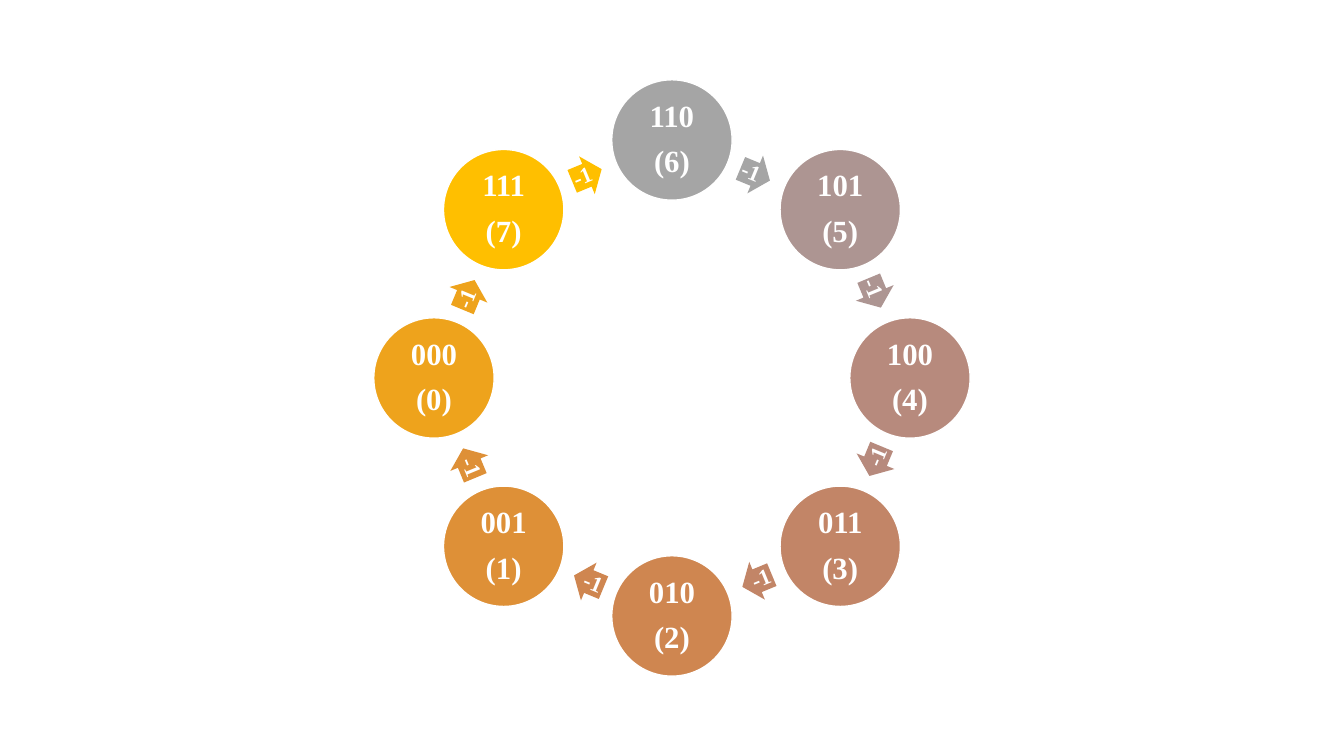
from colorsys import hls_to_rgb
from dataclasses import dataclass
from math import cos, radians, sin

from pptx import Presentation
from pptx.dml.color import RGBColor as Rgb
from pptx.enum.shapes import MSO_SHAPE as Shape
from pptx.enum.text import MSO_ANCHOR as Anchor, PP_ALIGN as Align
from pptx.util import Pt


@dataclass(frozen=True)
class Theme:
    """Colours, font and type sizes of the slide."""

    font: str = "Times New Roman"
    light: Rgb = Rgb(255, 255, 255)
    state_size: int = 22
    step_size: int = 16
    line_spacing: float = 0.9
    state_gap: float = 8.8

    def shade(self, fraction):
        """Return the colour at a fraction of the way from grey to gold."""
        hue = 45 / 360 * fraction
        lightness = 0.647 - 0.147 * fraction
        return Rgb(*(round(255 * part) for part in hls_to_rgb(hue, lightness, fraction)))


class CycleSlide:
    """Draws the states and steps of a cycle on one slide."""

    def __init__(self, slide, theme):
        """Keep the slide and its style."""
        self.shapes = slide.shapes
        self.theme = theme

    def set_text(self, frame, text, size, inset=0, gap=0):
        """Put centred bold text in a frame."""
        frame.text = text
        frame.word_wrap = True
        frame.vertical_anchor = Anchor.MIDDLE
        frame.margin_left = frame.margin_right = Pt(inset)
        frame.margin_top = frame.margin_bottom = Pt(inset)
        for line in frame.paragraphs:
            line.alignment = Align.CENTER
            line.line_spacing = self.theme.line_spacing
            line.space_after = Pt(gap)
            for run in line.runs:
                run.font.name = self.theme.font
                run.font.size = Pt(size)
                run.font.bold = True
                run.font.color.rgb = self.theme.light

    def solid(self, kind, x, y, width, height, color):
        """Add a filled shape centred on a point."""
        solid = self.shapes.add_shape(
            kind, Pt(x - width / 2), Pt(y - height / 2), Pt(width), Pt(height))
        solid.shadow.inherit = False
        solid.fill.solid()
        solid.fill.fore_color.rgb = color
        return solid

    def state(self, x, y, diameter, text, color):
        """Add a circle that names a state."""
        circle = self.solid(Shape.OVAL, x, y, diameter, diameter, color)
        circle.line.color.rgb = self.theme.light
        circle.line.width = Pt(1)
        self.set_text(circle.text_frame, text, self.theme.state_size, 2, self.theme.state_gap)

    def arrow(self, x, y, heading, color):
        """Add a block arrow turned to its heading."""
        arrow = self.solid(Shape.RIGHT_ARROW, x, y, 22.8, 29.2, color)
        arrow.adjustments[0], arrow.adjustments[1] = 0.6, 0.5
        arrow.line.fill.background()
        arrow.rotation = heading

    def step_label(self, x, y, heading, text):
        """Add a label along the heading, turned to stay readable."""
        width, height = 16, 17.5
        label = self.shapes.add_textbox(
            Pt(x - width / 2), Pt(y - height / 2), Pt(width), Pt(height))
        label.rotation = (heading + 180) % 360 if 90 < heading < 270 else heading
        self.set_text(label.text_frame, text, self.theme.step_size)


def main():
    """Build the countdown cycle of three-bit numbers."""
    deck = Presentation()
    deck.slide_width, deck.slide_height = Pt(960), Pt(540)
    theme = Theme()
    cycle = CycleSlide(deck.slides.add_slide(deck.slide_layouts[6]), theme)
    center_x, center_y, radius, diameter = 480, 270, 170, 86
    numbers = [6, 5, 4, 3, 2, 1, 0, 7]
    turn = 360 / len(numbers)
    step_radius = radius * cos(radians(turn / 2))

    for index, number in enumerate(numbers):
        color = theme.shade(index / (len(numbers) - 1))
        angle = radians(index * turn)
        cycle.state(center_x + radius * sin(angle), center_y - radius * cos(angle),
                    diameter, f"{number:03b}\n({number})", color)

        heading = (index + 0.5) * turn
        along_x, along_y = cos(radians(heading)), sin(radians(heading))
        step_x = center_x + step_radius * along_y
        step_y = center_y - step_radius * along_x
        cycle.arrow(step_x - 0.7 * along_x, step_y - 0.7 * along_y, heading, color)
        cycle.step_label(step_x - 4 * along_x, step_y - 4 * along_y, heading, "-1")

    deck.save("out.pptx")


if __name__ == "__main__":
    main()
